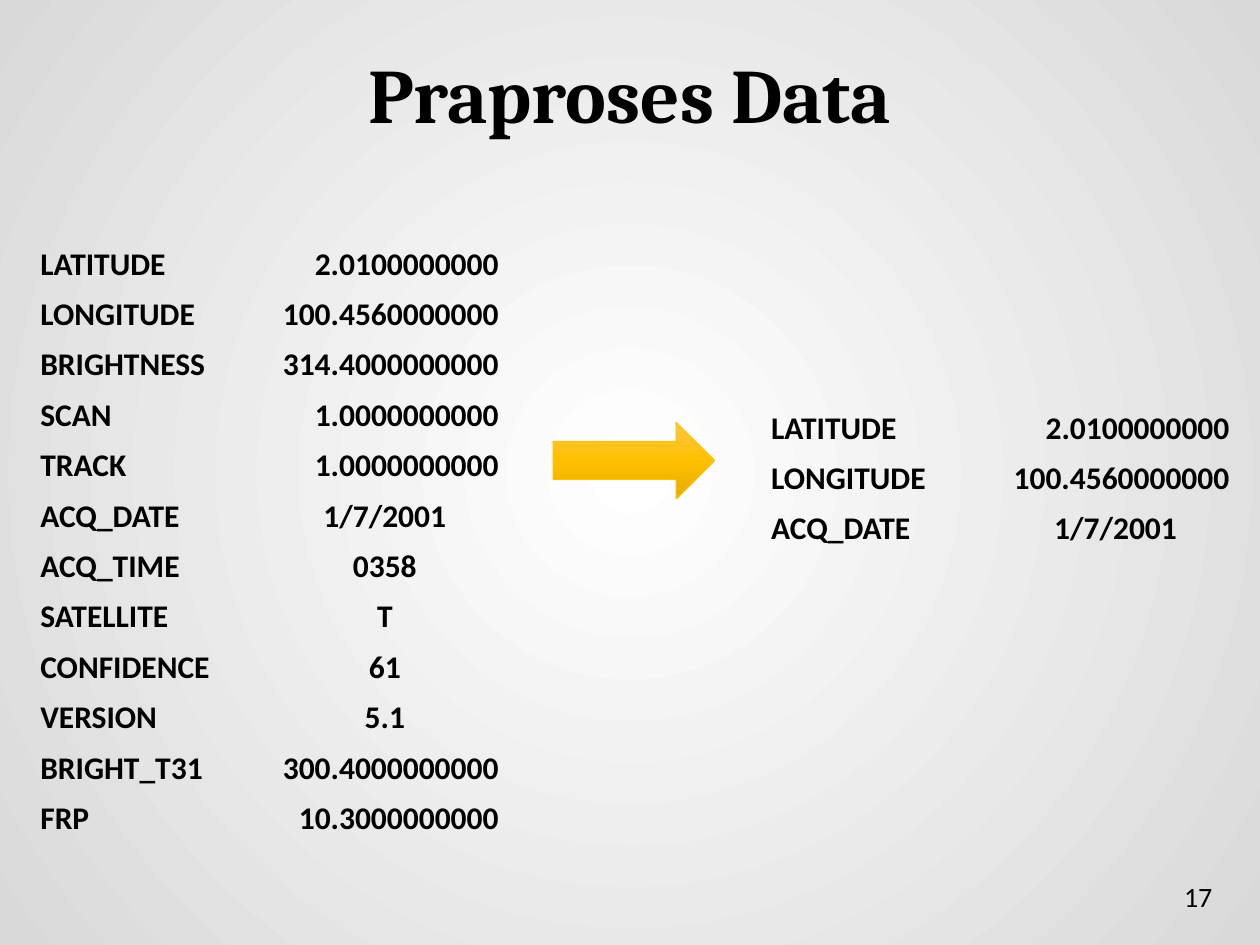
"""Build the slide on data preprocessing: all fields, an arrow, the kept fields."""
import lxml.etree
import pptx
import pptx.dml.color
import pptx.enum.shapes
import pptx.enum.text
import pptx.oxml.ns
import pptx.util

Pt = pptx.util.Pt
RGB = pptx.dml.color.RGBColor
ALIGN = pptx.enum.text.PP_ALIGN
ANCHOR = pptx.enum.text.MSO_ANCHOR
qn = pptx.oxml.ns.qn

BLACK = RGB(0x00, 0x00, 0x00)
WHITE = RGB(0xFF, 0xFF, 0xFF)
GREY = RGB(0xD9, 0xD9, 0xD9)
PALE = RGB(0xF2, 0xF2, 0xF2)
LIGHT = RGB(0xFF, 0xC6, 0x4B)
GOLD = RGB(0xFF, 0xC0, 0x00)
DARK = RGB(0xE3, 0xAB, 0x00)

PLAIN = "{2D5ABB26-0587-4C30-8999-92F81FD0307C}"
FIELDS = {
    "LATITUDE": "2.0100000000",
    "LONGITUDE": "100.4560000000",
    "BRIGHTNESS": "314.4000000000",
    "SCAN": "1.0000000000",
    "TRACK": "1.0000000000",
    "ACQ_DATE": "1/7/2001",
    "ACQ_TIME": "0358",
    "SATELLITE": "T",
    "CONFIDENCE": "61",
    "VERSION": "5.1",
    "BRIGHT_T31": "300.4000000000",
    "FRP": "10.3000000000",
}
KEPT = ["LATITUDE", "LONGITUDE", "ACQ_DATE"]
ROW = 28.8
COL = 131.75


def shade(owner, stops, radial=False):
    """Give the owner's gradient fill its stops, running out from the centre or down."""
    grad = next(owner.element.iter(qn("a:gradFill")))
    for child in list(grad):
        grad.remove(child)
    group = lxml.etree.SubElement(grad, qn("a:gsLst"))
    for place, color in stops:
        stop = lxml.etree.SubElement(group, qn("a:gs"), pos=str(place * 1000))
        lxml.etree.SubElement(stop, qn("a:srgbClr"), val=str(color))
    if radial:
        way = lxml.etree.SubElement(grad, qn("a:path"), path="circle")
        lxml.etree.SubElement(way, qn("a:fillToRect"), dict.fromkeys("ltrb", "50000"))
    else:
        lxml.etree.SubElement(grad, qn("a:lin"), ang="5400000", scaled="0")


def write(frame, text, align, size, face="Calibri", bold=False):
    """Write one styled paragraph into a text frame and return it."""
    para = frame.paragraphs[0]
    para.text = text
    para.alignment = align
    font = para.font
    font.name, font.size, font.bold = face, Pt(size), bold
    font.color.rgb = BLACK
    return para


def add_text(slide, box, text, align, size, anchor=ANCHOR.TOP, **style):
    """Add a wrapping text box and return its paragraph."""
    frame = slide.shapes.add_textbox(*map(Pt, box)).text_frame
    frame.word_wrap = True
    frame.vertical_anchor = anchor
    return write(frame, text, align, size, **style)


def fill_cell(cell, text, align):
    """Style a clear table cell and write its text."""
    cell.fill.background()
    cell.vertical_anchor = ANCHOR.BOTTOM
    cell.margin_left = cell.margin_right = cell.margin_top = Pt(0.75)
    cell.margin_bottom = 0
    write(cell.text_frame, text, align, 18, bold=True)


def add_fields(slide, left, top, names, first=ROW):
    """Add a two-column table of field names and values."""
    highs = [first] + [ROW] * (len(names) - 1)
    box = map(Pt, (left, top, 2 * COL, sum(highs)))
    table = slide.shapes.add_table(len(names), 2, *box).table
    table.first_row = table.horz_banding = False
    next(table._tbl.iter(qn("a:tableStyleId"))).text = PLAIN
    for row, name, high in zip(table.rows, names, highs):
        row.height = Pt(high)
        value = FIELDS[name]
        fill_cell(row.cells[0], name, ALIGN.LEFT)
        long = value.endswith("0000")
        fill_cell(row.cells[1], value, ALIGN.RIGHT if long else ALIGN.CENTER)


def add_arrow(slide, box):
    """Add the golden block arrow."""
    kind = pptx.enum.shapes.MSO_SHAPE.RIGHT_ARROW
    arrow = slide.shapes.add_shape(kind, *map(Pt, box))
    arrow.shadow.inherit = False
    arrow.fill.gradient()
    shade(arrow, [(0, LIGHT), (50, GOLD), (100, DARK)])
    arrow.line.color.rgb = GOLD
    arrow.line.width = Pt(0.5)


def main():
    """Build and save the slide."""
    deck = pptx.Presentation()
    deck.slide_width, deck.slide_height = Pt(720), Pt(540)
    slide = deck.slides.add_slide(deck.slide_layouts[6])
    slide.background.fill.gradient()
    shade(slide, [(0, WHITE), (100, GREY), (100, PALE)], radial=True)
    title = add_text(slide, (-54, 28.8, 828, 104.4), "Praproses Data",
                     ALIGN.CENTER, 44, face="Cambria", bold=True)
    title.line_spacing = 0.9
    add_text(slide, (483.84, 497.5, 216, 28.8), "17", ALIGN.RIGHT, 16, ANCHOR.MIDDLE)
    add_fields(slide, 22.3, 133.2, list(FIELDS))
    add_fields(slide, 439.9, 233.3, KEPT, first=21)
    add_arrow(slide, (316.1, 241.2, 92.2, 43.9))
    deck.save("out.pptx")


if __name__ == "__main__":
    main()
